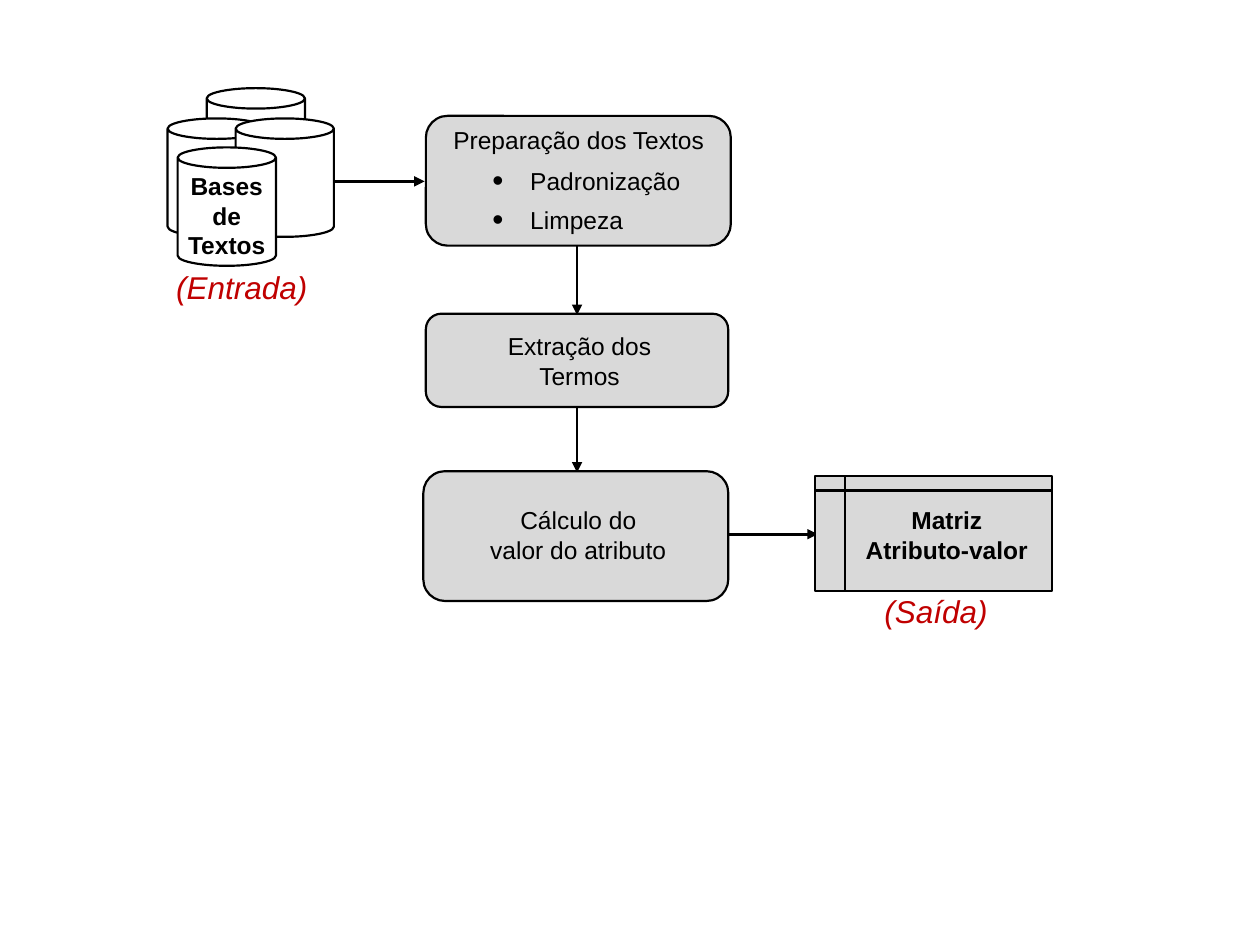
import pptx
import pptx.dml.color
import pptx.enum.shapes
import pptx.enum.text
import pptx.oxml.ns
import pptx.util
from lxml import etree

Inches = pptx.util.Inches
Pt = pptx.util.Pt
RGBColor = pptx.dml.color.RGBColor
Shape = pptx.enum.shapes.MSO_SHAPE
Align = pptx.enum.text.PP_ALIGN
Anchor = pptx.enum.text.MSO_ANCHOR
qn = pptx.oxml.ns.qn

BLACK = RGBColor(0x00, 0x00, 0x00)
WHITE = RGBColor(0xFF, 0xFF, 0xFF)
GREY = RGBColor(0xD9, 0xD9, 0xD9)
RED = RGBColor(0xC0, 0x00, 0x00)


def write_text(frame, text, size=14, color=BLACK, bold=False, italic=False,
               align=Align.LEFT, bulleted=False, gap=0):
    for index, line in enumerate(text.split("\n")):
        paragraph = frame.paragraphs[0] if index == 0 else frame.add_paragraph()
        paragraph.alignment = align
        if index and gap:
            paragraph.space_before = Pt(gap)
        if bulleted:
            properties = paragraph._p.get_or_add_pPr()
            properties.set("marL", str(Inches(0.3)))
            properties.set("indent", str(-Inches(0.3)))
            etree.SubElement(properties, qn("a:buSzPct"), val="129000")
            etree.SubElement(properties, qn("a:buFont"), typeface="Arial")
            etree.SubElement(properties, qn("a:buChar"), char="•")
        run = paragraph.add_run()
        run.text = line
        font = run.font
        font.name, font.size = "Arial", Pt(size)
        font.bold, font.italic = bold, italic
        font.color.rgb = color


class Diagram:
    outline = Pt(1.25)
    arrow_width = Pt(1.5)

    def __init__(self, slide):
        self.shapes = slide.shapes

    def block(self, kind, left, top, width, height, fill=GREY, corner=None):
        block = self.shapes.add_shape(
            kind, Inches(left), Inches(top), Inches(width), Inches(height))
        block.shadow.inherit = False
        block.fill.solid()
        block.fill.fore_color.rgb = fill
        block.line.color.rgb = BLACK
        block.line.width = self.outline
        if corner is not None:
            block.adjustments[0] = corner
        return block

    def step(self, left, top, width, height):
        return self.block(Shape.ROUNDED_RECTANGLE, left, top, width, height, corner=0.167)

    def label(self, text, left, top, width, height, wrap=True, anchor=Anchor.TOP, **style):
        label = self.shapes.add_textbox(
            Inches(left), Inches(top), Inches(width), Inches(height))
        label.text_frame.word_wrap = wrap
        label.text_frame.vertical_anchor = anchor
        write_text(label.text_frame, text, **style)
        return label

    def arrow(self, start_x, start_y, end_x, end_y):
        arrow = self.shapes.add_connector(
            pptx.enum.shapes.MSO_CONNECTOR.STRAIGHT,
            Inches(start_x), Inches(start_y), Inches(end_x), Inches(end_y))
        arrow.line.color.rgb = BLACK
        arrow.line.width = self.arrow_width
        etree.SubElement(arrow.line._get_or_add_ln(), qn("a:tailEnd"), type="triangle")
        etree.SubElement(arrow._element.spPr, qn("a:effectLst"))

    def group(self, members):
        self.shapes.add_group_shape(members)


def main():
    presentation = pptx.Presentation()
    presentation.slide_width = Inches(10)
    presentation.slide_height = Inches(7.5)
    diagram = Diagram(presentation.slides.add_slide(presentation.slide_layouts[6]))

    for ends in ((5.63, 4.24, 6.49, 4.24), (4.58, 1.87, 4.58, 2.5),
                 (4.58, 3.12, 4.58, 3.75), (2.51, 1.44, 3.37, 1.44)):
        diagram.arrow(*ends)

    diagram.step(3.38, 2.49, 2.4, 0.74)

    matrix = diagram.block(Shape.FLOWCHART_INTERNAL_STORAGE, 6.47, 3.78, 1.88, 0.91)
    matrix_label = diagram.label("Matriz\nAtributo-valor", 6.38, 3.96, 2.27, 0.57,
                                 bold=True, align=Align.CENTER)
    diagram.group([matrix, matrix_label])

    diagram.step(3.38, 0.92, 2.42, 1.03)
    diagram.label("Preparação dos Textos", 3.5, 0.94, 2.34, 0.34)
    diagram.label("Padronização\nLimpeza", 3.81, 1.21, 1.72, 0.7, anchor=Anchor.BOTTOM,
                  align=Align.JUSTIFY, bulleted=True, gap=5.5)

    diagram.label("Extração dos\nTermos", 3.93, 2.58, 1.34, 0.57,
                  wrap=False, align=Align.CENTER)

    diagram.step(3.36, 3.74, 2.42, 1.03)
    diagram.label("Cálculo do\nvalor do atributo", 3.79, 3.96, 1.6, 0.57,
                  wrap=False, align=Align.CENTER)

    databases = [diagram.block(Shape.CAN, left, top, 0.78, 0.94, fill=WHITE, corner=0.208)
                 for left, top in ((1.64, 0.7), (1.33, 0.94), (1.87, 0.94), (1.41, 1.17))]
    databases_label = diagram.label("Bases\nde\nTextos", 1.12, 1.31, 1.36, 0.8,
                                    bold=True, align=Align.CENTER)
    diagram.group(databases + [databases_label])

    for caption, left, top, width in (("(Entrada)", 1.3, 2.08, 1.33),
                                      ("(Saída)", 6.92, 4.65, 1.09)):
        diagram.label(caption, left, top, width, 0.4, size=18, color=RED, italic=True)

    presentation.save("out.pptx")


if __name__ == "__main__":
    main()
